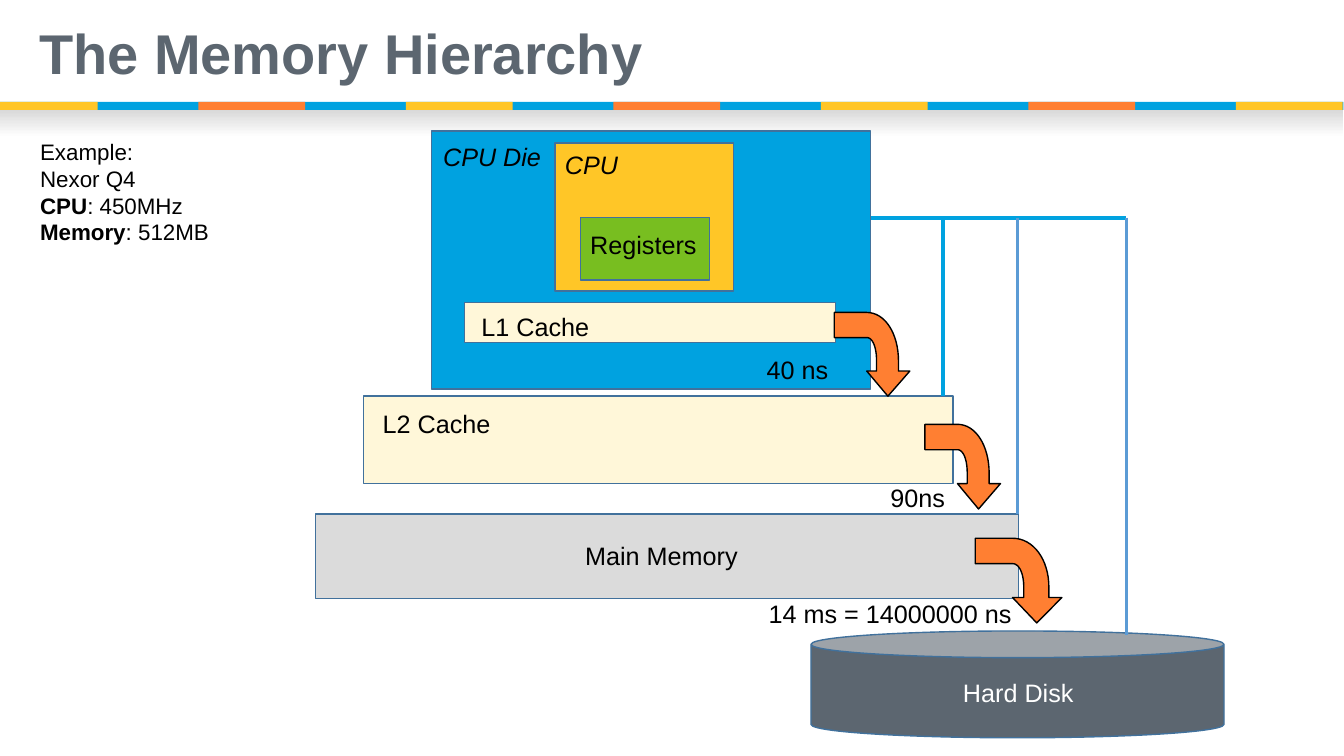
from typing import NamedTuple

from lxml import etree
from pptx import Presentation
from pptx.dml.color import RGBColor
from pptx.enum.shapes import MSO_CONNECTOR, MSO_SHAPE
from pptx.enum.text import MSO_ANCHOR, MSO_AUTO_SIZE, PP_ALIGN
from pptx.oxml.ns import qn
from pptx.util import Pt

RECT, CAN, STRAIGHT = MSO_SHAPE.RECTANGLE, MSO_SHAPE.CAN, MSO_CONNECTOR.STRAIGHT
LEFT, MIDDLE = PP_ALIGN.LEFT, MSO_ANCHOR.MIDDLE
FIT_TEXT = MSO_AUTO_SIZE.SHAPE_TO_FIT_TEXT

BLUE, GOLD, ORANGE, SLATE = "00A2E0", "FFC627", "FF7F32", "5C6670"
CREAM, BLACK, WHITE = "FFF7D9", "000000", "FFFFFF"
BORDER, LIGHT_BLUE = "41719C", "5B9BD5"


class Level(NamedTuple):
    left: float
    top: float
    width: float
    height: float
    fill: str
    preset: int = RECT


class Label(NamedTuple):
    text: str
    left: float
    top: float
    width: float
    italic: bool = False
    color: str = BLACK
    wrap: bool = True


class Arrow(NamedTuple):
    left: float
    top: float
    width: float
    height: float


class Bus(NamedTuple):
    x1: float
    y1: float
    x2: float
    y2: float
    color: str
    weight: float


BUS_TOP, BUS_END = 155.5, 805

LEVELS = [
    Level(308.2, 93.6, 313.9, 184.3, BLUE),
    Level(396.7, 102.2, 127.4, 105.8, GOLD),
    Level(414.7, 155.5, 92.2, 44.6, "78BE20"),
    Level(331.9, 216, 265, 28.8, CREAM),
    Level(259.9, 283, 421.2, 62.6, CREAM),
    Level(225.4, 367.2, 502.6, 60.5, "DBDBDB"),
    Level(579.6, 450.7, 295.2, 76.3, SLATE, CAN),
]
LABELS = [
    Label("CPU Die", 309.6, 97.2, 86.4, italic=True),
    Label("CPU", 396.7, 103, 69.8, italic=True),
    Label("Registers", 414.7, 160.6, 92.2),
    Label("L1 Cache", 337, 218.9, 257),
    Label("40 ns", 540.7, 249.8, 72.7),
    Label("L2 Cache", 266.4, 288, 407.5),
    Label("90ns", 629.3, 341.3, 77),
    Label("Main Memory", 411.1, 382.3, 130.3),
    Label("14 ms = 14000000 ns", 542.2, 424.1, 187.9, wrap=False),
    Label("Hard Disk", 681.1, 480.2, 123.8, color=WHITE),
]
ARROWS = [
    Arrow(596.2, 223.2, 54, 59.8),
    Arrow(661, 303.1, 54, 60.5),
    Arrow(697, 384.5, 61.9, 60.5),
]
BUSES = [
    Bus(622.8, BUS_TOP, BUS_END, BUS_TOP, BLUE, 3),
    Bus(BUS_END, BUS_TOP, BUS_END, 453.6, LIGHT_BLUE, 2.25),
    Bus(673.9, BUS_TOP, 673.9, 283, BLUE, 3),
    Bus(727.2, BUS_TOP, 727.2, 367.2, LIGHT_BLUE, 2.25),
]
EXAMPLE = [
    [("Example:", False)],
    [("Nexor Q4", False)],
    [("CPU", True), (": 450MHz", False)],
    [("Memory", True), (": 512MB", False)],
]


def rgb(color: str) -> RGBColor:
    return RGBColor.from_string(color)


def paint(shape, fill: str, border: str = "") -> None:
    shape.shadow.inherit = False
    shape.fill.solid()
    shape.fill.fore_color.rgb = rgb(fill)
    if border:
        shape.line.color.rgb = rgb(border)
        shape.line.width = Pt(1)
    else:
        shape.line.fill.background()


def add_run(paragraph, text: str, color: str, **formats) -> None:
    run = paragraph.add_run()
    run.text = text
    run.font.color.rgb = rgb(color)
    for name, value in {"name": "Arial", **formats}.items():
        setattr(run.font, name, value)


def add_level(shapes, level: Level, border: str = BORDER):
    box = [Pt(length) for length in level[:4]]
    shape = shapes.add_shape(level.preset, *box)
    paint(shape, level.fill, border)
    return shape


def add_text_frame(shapes, left: float, top: float, width: float, height: float, wrap: bool = True):
    frame = shapes.add_textbox(Pt(left), Pt(top), Pt(width), Pt(height)).text_frame
    frame.word_wrap = wrap
    frame.auto_size = FIT_TEXT
    return frame


def add_label(shapes, label: Label) -> None:
    frame = add_text_frame(shapes, label.left, label.top, label.width, 28.8, label.wrap)
    add_run(frame.paragraphs[0], label.text, label.color, size=Pt(18), italic=label.italic)


def curve(start: tuple, pull1: tuple, pull2: tuple, end: tuple, steps: int = 16) -> list:
    """Points of a cubic Bezier curve."""
    points = []
    for step in range(steps + 1):
        t = step / steps
        weights = ((1 - t) ** 3, 3 * t * (1 - t) ** 2, 3 * t * t * (1 - t), t ** 3)
        corners = (start, pull1, pull2, end)
        points.append(tuple(sum(w * c[axis] for w, c in zip(weights, corners)) for axis in (0, 1)))
    return points


# Bent arrow as fractions of its box
ARROW_OUTLINE = [
    (0.71, 1), (1, 0.7), (0.85, 0.7),
    *curve((0.85, 0.58), (0.85, 0.25), (0.67, 0), (0.43, 0)),
    (0, 0), (0, 0.3),
    *curve((0.43, 0.3), (0.51, 0.3), (0.56, 0.42), (0.56, 0.58)),
    (0.56, 0.7), (0.43, 0.7),
]


def add_arrow(shapes, arrow: Arrow) -> None:
    points = [(Pt(arrow.left + x * arrow.width), Pt(arrow.top + y * arrow.height))
              for x, y in ARROW_OUTLINE]
    builder = shapes.build_freeform(*points[0])
    builder.add_line_segments(points[1:], close=True)
    paint(builder.convert_to_shape(), ORANGE, BLACK)


def add_bus(shapes, bus: Bus) -> None:
    line = shapes.add_connector(STRAIGHT, *[Pt(length) for length in bus[:4]])
    line.line.color.rgb = rgb(bus.color)
    line.line.width = Pt(bus.weight)
    etree.SubElement(line._element.spPr, qn("a:effectLst"))


def add_header(shapes) -> None:
    # Soft fade below the stripe
    fade = add_level(shapes, Level(0, 78.5, 960, 19.4, WHITE), border="")
    fade.fill.gradient()
    fade.fill.gradient_angle = 270
    for stop, color in zip(fade.fill.gradient_stops, ("D9D9D9", WHITE)):
        stop.color.rgb = rgb(color)
    # Blue stripe with alternating gold and orange segments
    add_level(shapes, Level(0, 72.7, 960, 5.8, BLUE), border="")
    for index in range(7):
        right = 69.8 + index * 148.3
        left = max(0, right - 76.3)
        color = ORANGE if index % 2 else GOLD
        add_level(shapes, Level(left, 72.7, right - left, 5.8, color), border="")


def add_title(title) -> None:
    place = {"left": 20.9, "top": 14.4, "width": 929.5, "height": 51.1}
    for name, length in place.items():
        setattr(title, name, Pt(length))
    title.text_frame.vertical_anchor = MIDDLE
    heading = title.text_frame.paragraphs[0]
    heading.alignment = LEFT
    heading.line_spacing = 0.9
    add_run(heading, "The Memory Hierarchy", SLATE, size=Pt(40), bold=True)


def add_example(shapes) -> None:
    frame = add_text_frame(shapes, 21.6, 95, 165.6, 84.2)
    for index, pieces in enumerate(EXAMPLE):
        paragraph = frame.add_paragraph() if index else frame.paragraphs[0]
        for text, bold in pieces:
            add_run(paragraph, text, BLACK, size=Pt(16), bold=bold)


def main() -> None:
    deck = Presentation()
    deck.slide_width, deck.slide_height = Pt(960.48), Pt(540)
    slide = deck.slides.add_slide(deck.slide_layouts[5])
    shapes = slide.shapes
    add_header(shapes)
    add_title(shapes.title)
    add_example(shapes)
    # Memory levels, then what lies over them
    for draw, items in ((add_level, LEVELS), (add_label, LABELS), (add_arrow, ARROWS), (add_bus, BUSES)):
        for item in items:
            draw(shapes, item)
    deck.save("out.pptx")


if __name__ == "__main__":
    main()
